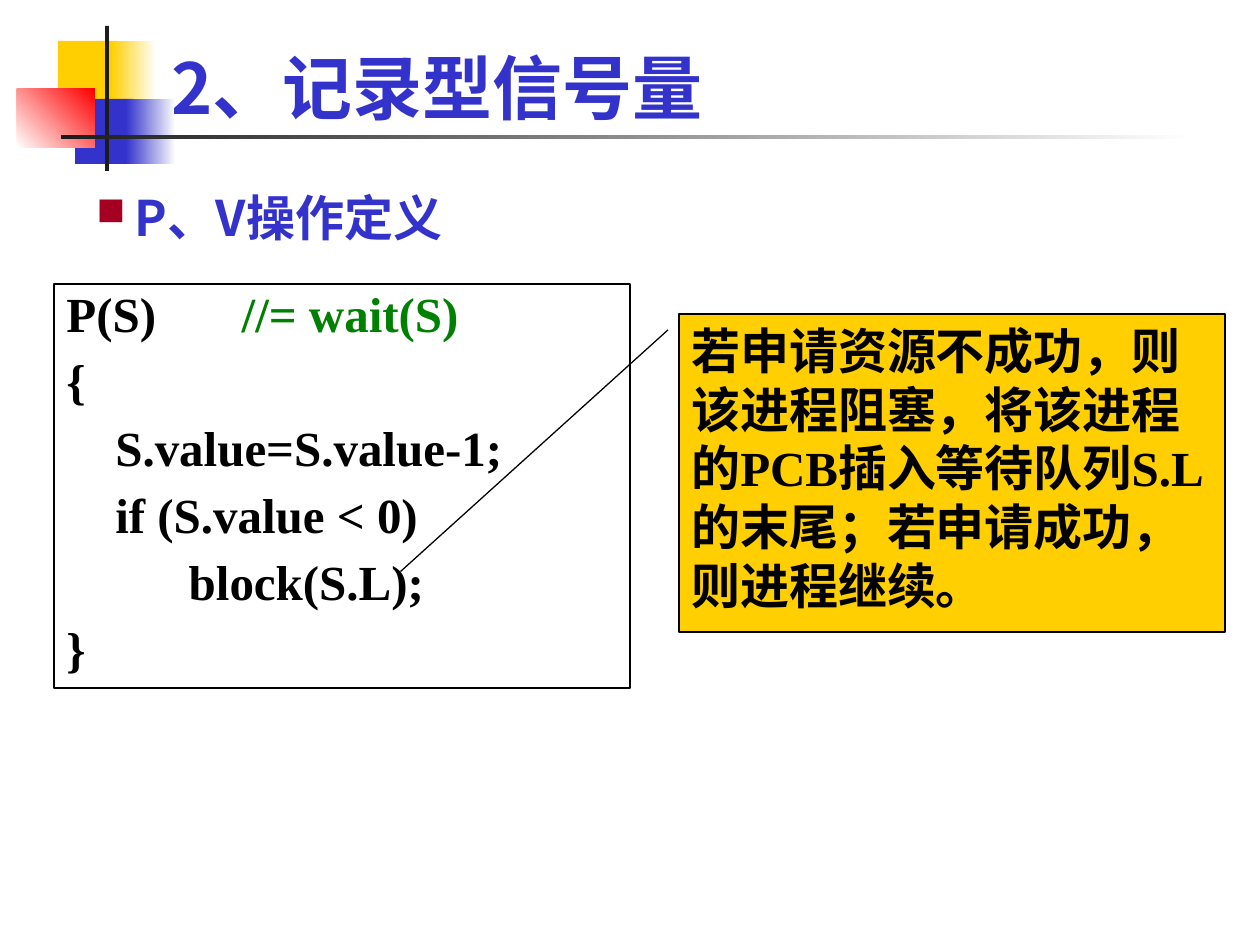
from lxml.etree import SubElement
from pptx import Presentation
from pptx.dml.color import RGBColor
from pptx.enum.shapes import MSO_SHAPE
from pptx.enum.text import MSO_ANCHOR, PP_ALIGN
from pptx.oxml.ns import qn
from pptx.util import Pt

PX = 914400 // 126
BLUE = RGBColor(0x33, 0x33, 0xCC)
YELLOW = RGBColor(0xFF, 0xCF, 0x01)
RED = RGBColor(0xFF, 0x00, 0x00)
WHITE = RGBColor(0xFF, 0xFF, 0xFF)
BLACK = RGBColor(0x00, 0x00, 0x00)
CHARCOAL = RGBColor(0x1C, 0x1C, 0x1C)
GREEN = RGBColor(0x00, 0x80, 0x00)
SANS = "Noto Sans CJK SC"
SERIF = "Times New Roman"

presentation = Presentation()
presentation.slide_width = 1260 * PX
presentation.slide_height = 945 * PX
slide = presentation.slides.add_slide(presentation.slide_layouts[6])


def add_box(kind, bounds):
    shape = slide.shapes.add_shape(kind, *(length * PX for length in bounds))
    shape.shadow.inherit = False
    shape.text_frame.word_wrap = True
    return shape


def style(paragraph, size, name, color):
    """Set the bold font of a paragraph, with the sans face for Chinese."""
    paragraph.alignment = PP_ALIGN.LEFT
    font = paragraph.font
    font.size, font.name, font.bold = Pt(size), name, True
    font.color.rgb = color
    properties = paragraph._p.pPr.find(qn("a:defRPr"))
    SubElement(properties, qn("a:ea"), typeface=SANS)


# Corner ornament: bounds, first colour, last colour, gradient angle
ornament = [
    ((58, 41, 60, 65), YELLOW, YELLOW, 0),
    ((111, 41, 45, 65), YELLOW, WHITE, 0),
    ((75, 99, 58, 65), BLUE, BLUE, 0),
    ((126, 99, 50, 65), BLUE, WHITE, 0),
    ((17, 89, 78, 59), WHITE, RED, 45),
    ((105, 26, 4, 145), CHARCOAL, CHARCOAL, 0),
    ((61, 135, 1134, 4), CHARCOAL, WHITE, 0),
]
for bounds, first, last, angle in ornament:
    block = add_box(MSO_SHAPE.RECTANGLE, bounds)
    block.line.fill.background()
    if first == last:
        block.fill.solid()
        block.fill.fore_color.rgb = first
    else:
        block.fill.gradient()
        block.fill.gradient_angle = angle
        for stop, color in zip(block.fill.gradient_stops, (first, last)):
            stop.color.rgb = color

# Title and bulleted heading
headings = [
    ("2、记录型信号量", (159, 45, 968, 90), 40, MSO_ANCHOR.BOTTOM),
    ("P、V操作定义", (84, 165, 993, 103), 28, MSO_ANCHOR.MIDDLE),
]
for text, bounds, size, anchor in headings:
    box = slide.shapes.add_textbox(*(length * PX for length in bounds))
    frame = box.text_frame
    frame.word_wrap = True
    frame.vertical_anchor = anchor
    paragraph = frame.paragraphs[0]
    paragraph.text = text
    if anchor == MSO_ANCHOR.MIDDLE:
        properties = paragraph._p.get_or_add_pPr()
        properties.set("marL", str(38 * PX))
        properties.set("indent", str(-38 * PX))
        bullet_color = SubElement(properties, qn("a:buClr"))
        SubElement(bullet_color, qn("a:srgbClr"), val="A50021")
        SubElement(properties, qn("a:buSzPct"), val="80000")
        SubElement(properties, qn("a:buFont"), typeface="Wingdings")
        SubElement(properties, qn("a:buChar"), char="n")
    style(paragraph, size, SANS, BLUE)

# Code of the P operation
code_box = add_box(MSO_SHAPE.RECTANGLE, (54, 284, 576, 404))
code_box.fill.background()
code_box.line.color.rgb = BLACK
code_box.line.width = Pt(0.75)
code_frame = code_box.text_frame
code_frame.vertical_anchor = MSO_ANCHOR.TOP
code = [
    ("P(S)       ", "//= wait(S)"),
    ("{", ""),
    ("    S.value=S.value-1;", ""),
    ("    if (S.value < 0)", ""),
    ("          block(S.L);", ""),
    ("}", ""),
]
for number, (statement, comment) in enumerate(code):
    paragraph = code_frame.add_paragraph() if number else code_frame.paragraphs[0]
    paragraph.line_spacing = 0.9
    if number:
        paragraph.space_before = Pt(8)
    paragraph.add_run().text = statement
    if comment:
        run = paragraph.add_run()
        run.text = comment
        run.font.color.rgb = GREEN
    style(paragraph, 28, SERIF, BLACK)

# Callout pointing at the block statement
callout = add_box(MSO_SHAPE.LINE_CALLOUT_2, (679, 314, 546, 318))
for index, value in enumerate((0.05, -0.02, 0.05, -0.02, 0.81, -0.51)):
    callout.adjustments[index] = value
callout.fill.solid()
callout.fill.fore_color.rgb = YELLOW
callout.line.color.rgb = BLACK
callout.line.width = Pt(0.75)
callout.text_frame.vertical_anchor = MSO_ANCHOR.TOP
paragraph = callout.text_frame.paragraphs[0]
paragraph.text = "若申请资源不成功，则该进程阻塞，将该进程的PCB插入等待队列S.L的末尾；若申请成功，则进程继续。"
style(paragraph, 28, SERIF, BLACK)

presentation.save("out.pptx")
